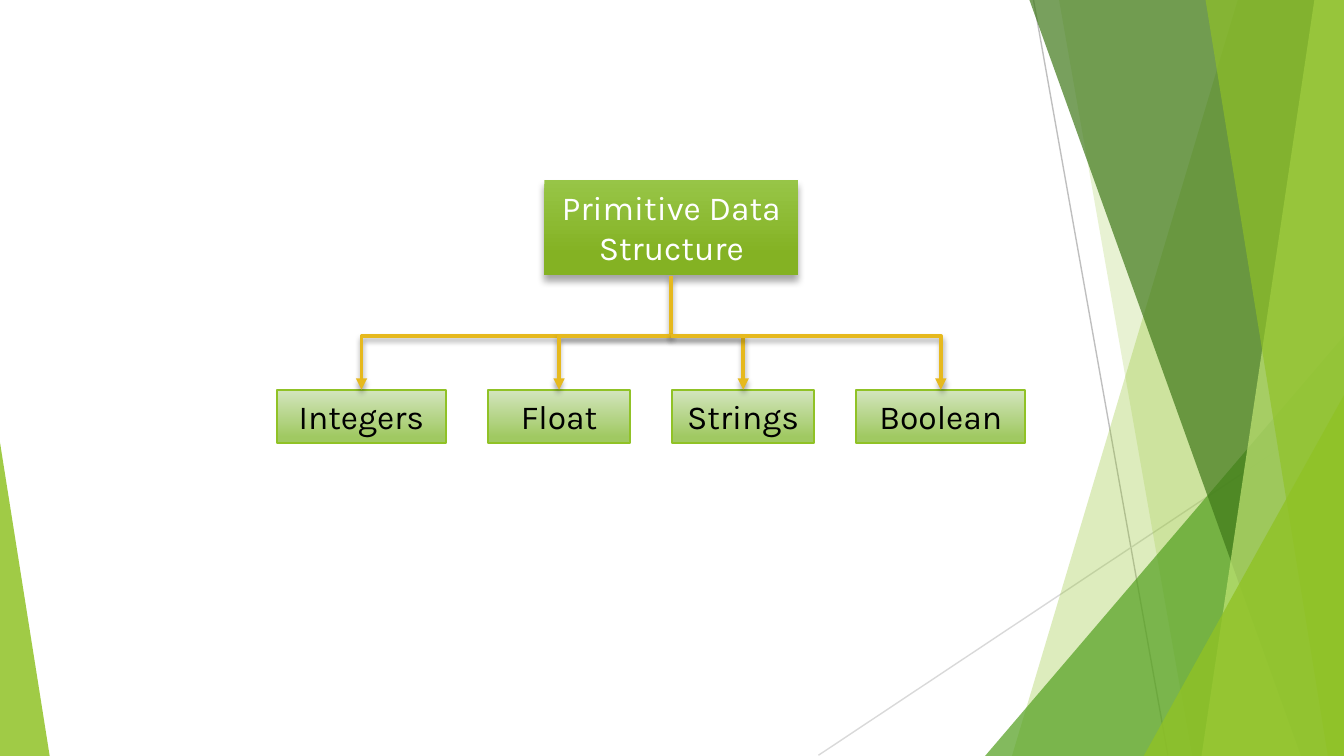
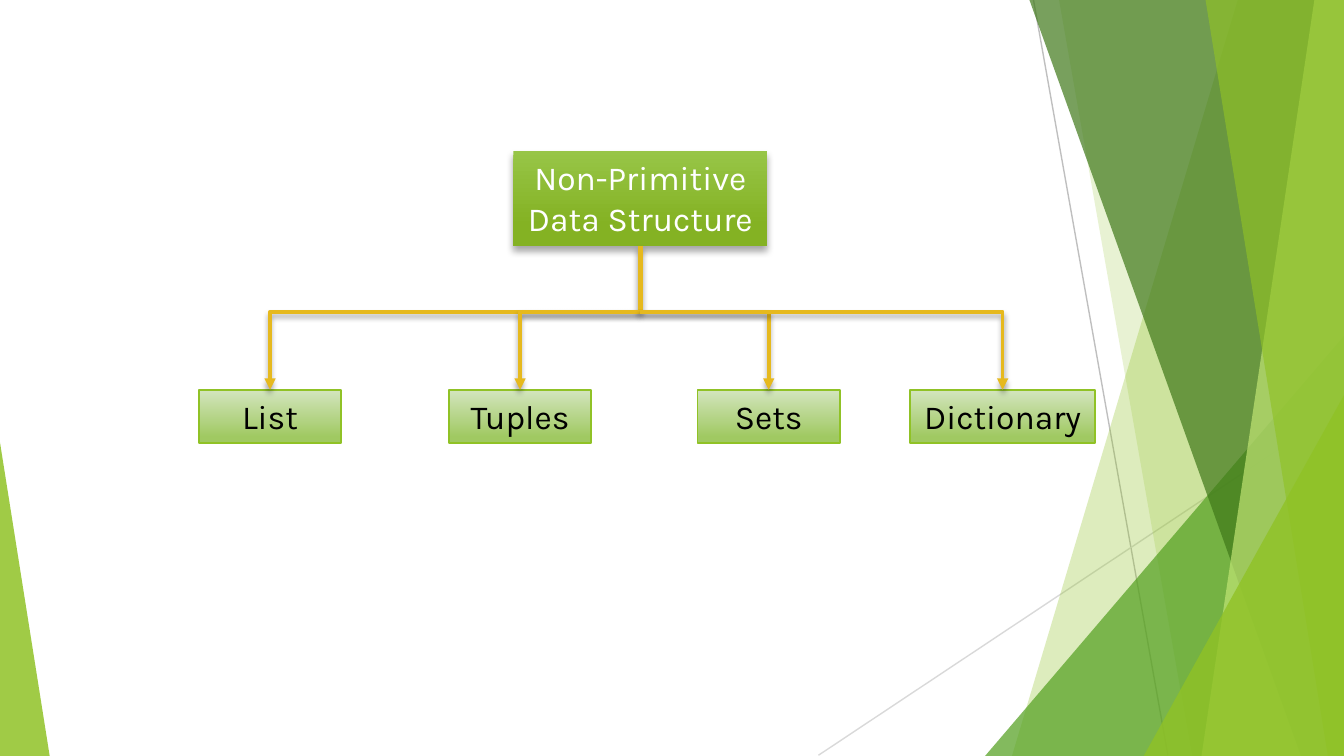
from pptx import Presentation, util as u
from pptx.dml.color import RGBColor
from pptx.enum import shapes, text
from pptx.oxml import ns
from lxml import etree

WHITE = RGBColor(0xFF, 0xFF, 0xFF)
BLACK = RGBColor(0, 0, 0)
LIME = RGBColor(0x90, 0xC2, 0x26)
GREEN = RGBColor(0x54, 0xA0, 0x21)
DARK = RGBColor(0x3F, 0x78, 0x19)
PALE = RGBColor(0xC0, 0xE4, 0x74)
GOLD = RGBColor(0xE6, 0xB9, 0x1E)
GREY = RGBColor(0xBF, 0xBF, 0xBF)
SILVER = RGBColor(0xD9, 0xD9, 0xD9)
ROOT = ((0, RGBColor(0x97, 0xC5, 0x47)), (0.78, RGBColor(0x84, 0xB2, 0x23)))
LEAF = ((0, RGBColor(0xD3, 0xE5, 0xBE)), (0.88, RGBColor(0xA0, 0xC9, 0x62)))

FONT = "Karla"
RECT = shapes.MSO_SHAPE.RECTANGLE
TRI = shapes.MSO_SHAPE.ISOSCELES_TRIANGLE
BENT = shapes.MSO_CONNECTOR.ELBOW
LINE = shapes.MSO_CONNECTOR.STRAIGHT

# One column and one row are each an inch
UNIT = u.Inches(1)
WIDE, HIGH = 10 * UNIT, 10 * UNIT * 9 // 16
ROW, TALL = 2.9, 0.4
BIG = (1.89, 0.71)

# Backdrop from back to front: bands (top x, bottom x), wedges (left, top, width, apex)
RAYS = [(7.69, 0, 8.69, 5.62, GREY), (10, 3.02, 6.09, 5.62, SILVER)]
DECOR = [
    ("band", (9.21, 7.53), LIME, 30),
    ("band", (7.88, 8.87), LIME, 20),
    ("wedge", (7.33, 2.5, 2.67, 1), GREEN, 72),
    ("band", (7.66, 9.68), DARK, 70),
    ("band", (9.78, 8.94), PALE, 70),
    ("band", (8.97, 9.88), LIME, 65),
    ("wedge", (8.51, 2.94, 1.49, 1), LIME, 80),
    ("wedge", (0, 3.29, 0.37, 0), LIME, 85),
]

# Root text, its left and top, trunk width, bar row, leaves (text, left, width)
TREES = [
    ("Primitive Data Structure", 4.05, 1.34, 2, 2.5,
     [("Integers", 2.06, 1.26), ("Float", 3.63, 1.06),
      ("Strings", 5, 1.06), ("Boolean", 6.37, 1.26)]),
    ("Non-Primitive Data Structure", 3.82, 1.12, 3, 2.32,
     [("List", 1.48, 1.06), ("Tuples", 3.34, 1.06),
      ("Sets", 5.19, 1.06), ("Dictionary", 6.77, 1.38)]),
]


def shade(shape, blur=0, dist=0):
    """Replace the theme shadow by a soft one straight below, or by none."""
    glow = etree.SubElement(shape.element.spPr, ns.qn("a:effectLst"))
    if blur:
        drop = etree.SubElement(glow, ns.qn("a:outerShdw"), blurRad=str(u.Pt(blur)),
                                dist=str(u.Pt(dist)), dir="5400000", rotWithShape="0")
        tint = etree.SubElement(drop, ns.qn("a:srgbClr"), val=str(BLACK))
        etree.SubElement(tint, ns.qn("a:alpha"), val="35000")


def box(slide, words, place, stops, ink):
    """Add a gradient rectangle with centred text."""
    shape = slide.shapes.add_shape(RECT, *[u.Inches(n) for n in place])
    shape.fill.gradient()
    shape.fill.gradient_angle = 270
    for stop, (spot, tone) in zip(shape.fill.gradient_stops, stops):
        stop.position = spot
        stop.color.rgb = tone
    frame = shape.text_frame
    frame.word_wrap = True
    frame.auto_size = text.MSO_AUTO_SIZE.SHAPE_TO_FIT_TEXT
    frame.vertical_anchor = text.MSO_ANCHOR.TOP
    para = frame.paragraphs[0]
    para.alignment = text.PP_ALIGN.CENTER
    run = para.add_run()
    run.text = words
    run.font.name = FONT
    run.font.size = u.Pt(18)
    run.font.color.rgb = ink
    return shape


deck = Presentation()
deck.slide_width, deck.slide_height = WIDE, HIGH

for title, left, top, thick, bar, leaves in TREES:
    slide = deck.slides.add_slide(deck.slide_layouts[6])
    slide.background.fill.solid()
    slide.background.fill.fore_color.rgb = WHITE

    # Backdrop
    group = slide.shapes.add_group_shape().shapes
    for *ends, tone in RAYS:
        ray = group.add_connector(LINE, *[u.Inches(n) for n in ends])
        ray.line.color.rgb = tone
        ray.line.width = u.Pt(0.75)
        shade(ray)
    for kind, spot, tone, alpha in DECOR:
        if kind == "band":
            head, foot = [u.Inches(n) for n in spot]
            path = group.build_freeform(head, 0)
            path.add_line_segments([(WIDE, 0), (WIDE, HIGH), (foot, HIGH)])
            part = path.convert_to_shape()
        else:
            x, y, wide = [u.Inches(n) for n in spot[:3]]
            part = group.add_shape(TRI, x, y, wide, HIGH - y)
            part.adjustments[0] = spot[3]
        part.fill.solid()
        part.fill.fore_color.rgb = tone
        clear = part.element.spPr.find(".//" + ns.qn("a:srgbClr"))
        etree.SubElement(clear, ns.qn("a:alpha"), val=str(alpha * 1000))
        part.line.fill.background()
        shade(part)

    # Boxes
    root = box(slide, title, (left, top, *BIG), ROOT, WHITE)
    root.line.fill.background()
    shade(root, 4, 3)
    for name, x, wide in leaves:
        leaf = box(slide, name, (x, ROW, wide, TALL), LEAF, BLACK)
        leaf.line.color.rgb = LIME
        leaf.line.width = u.Pt(1)
        shade(leaf)

    # Trunk and branches
    stem = u.Inches(left + BIG[0] / 2)
    fork = u.Inches(bar)
    trunk = slide.shapes.add_connector(LINE, stem, u.Inches(top + BIG[1]), stem, fork)
    trunk.begin_connect(root, 2)
    trunk.line.color.rgb = GOLD
    trunk.line.width = u.Pt(thick)
    shade(trunk, 3, 2)
    for name, x, wide in leaves:
        limb = slide.shapes.add_connector(BENT, stem, fork, u.Inches(x + wide / 2), u.Inches(ROW))
        limb.element.spPr.find(ns.qn("a:prstGeom")).set("prst", "bentConnector2")
        limb.line.color.rgb = GOLD
        limb.line.width = u.Pt(2)
        etree.SubElement(limb.line._get_or_add_ln(), ns.qn("a:tailEnd"), type="triangle")
        shade(limb, 3, 2)

deck.save("out.pptx")
